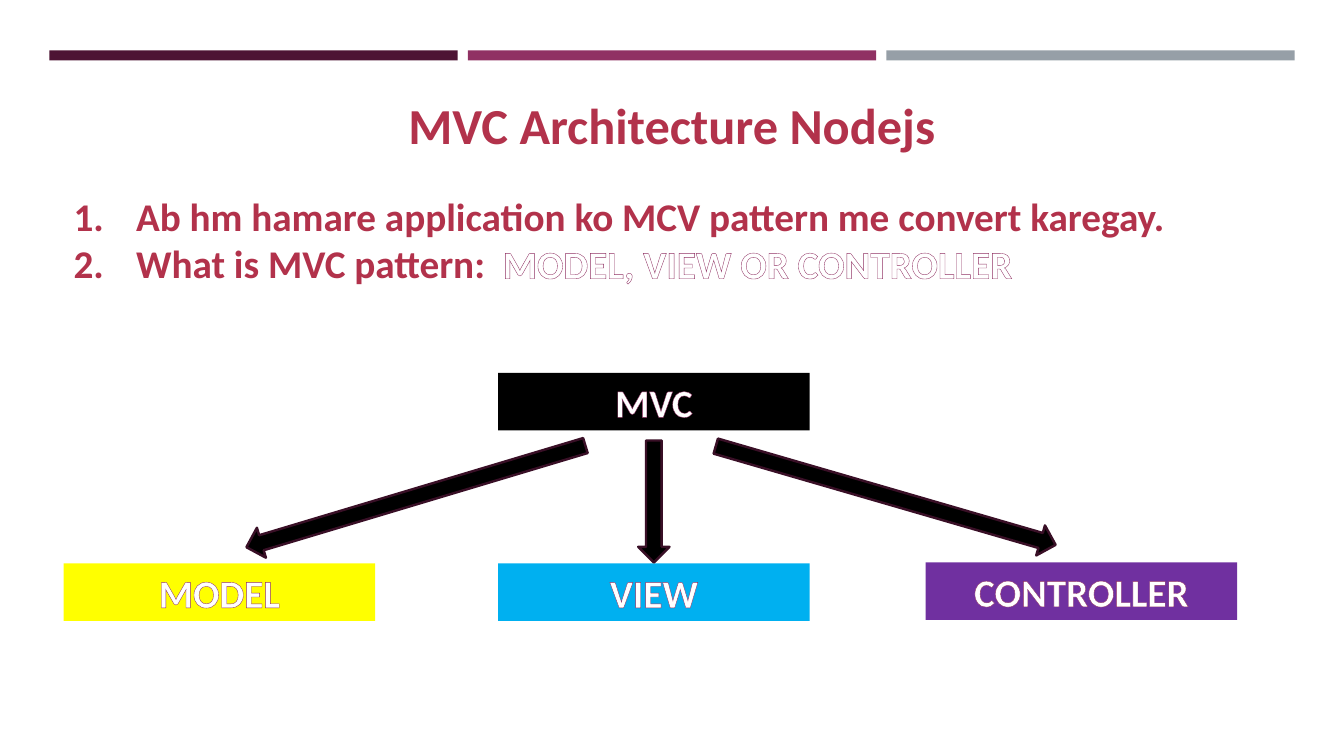
from dataclasses import dataclass

from lxml.etree import SubElement
from pptx import Presentation
from pptx.dml.color import RGBColor
from pptx.enum.shapes import MSO_SHAPE as Shape
from pptx.enum.text import MSO_ANCHOR as Anchor, MSO_AUTO_SIZE as AutoSize, PP_ALIGN as Align
from pptx.oxml.ns import qn
from pptx.util import Inches, Pt

WHITE, BLACK, RED, PLUM, DARK_PLUM = "FFFFFF", "000000", "B2324B", "903163", "390F26"
BOX_WIDTH, BOX_HEIGHT = 3.09, 0.57
BAR_LEFT, BAR_WIDTH, BAR_STEP = 0.49, 4.05, 4.15
BAR_COLOURS = ("4D1434", PLUM, "969FA7")
NUMBER_INDENT = 0.62


@dataclass(frozen=True)
class Box:
    label: str
    left: float
    top: float
    fill: str


@dataclass(frozen=True)
class Arrow:
    left: float
    top: float
    length: float
    rotation: float = 0


@dataclass(frozen=True)
class Span:
    text: str
    colour: str = RED
    outlined: bool = False


BOXES = (
    Box("MVC", 4.94, 3.7, BLACK),
    Box("MODEL", 0.63, 5.59, "FFFF00"),
    Box("CONTROLLER", 9.18, 5.58, "7030A0"),
    Box("VIEW", 4.94, 5.59, "00B0F0"),
)
ARROWS = (
    Arrow(6.33, 4.37, 1.21),
    Arrow(8.63, 3.16, 3.51, 286.2),
    Arrow(3.97, 3.17, 3.51, 73.3),
)
POINTS = (
    (Span("Ab hm hamare application ko MCV pattern me convert karegay."),),
    (Span("What is MVC pattern:  "), Span("MODEL, VIEW OR CONTROLLER", WHITE, True)),
)


def colour(value: str) -> RGBColor:
    return RGBColor.from_string(value)


def set_format(target, values: dict) -> None:
    for name, value in values.items():
        setattr(target, name, value)


def add_span(para, span: Span, size: float) -> None:
    run = para.add_run()
    run.text = span.text
    set_format(run.font, {"name": "Calibri", "size": Pt(size), "bold": True})
    run.font.color.rgb = colour(span.colour)
    if span.outlined:
        properties = run.font._element
        line = SubElement(properties, qn("a:ln"), w=str(Pt(0.52)))
        fill = SubElement(line, qn("a:solidFill"))
        SubElement(fill, qn("a:srgbClr"), val=PLUM)
        properties.insert(0, line)


def add_filled(page, kind, left: float, top: float, width: float, height: float, fill: str):
    shape = page.shapes.add_shape(kind, *map(Inches, (left, top, width, height)))
    shape.shadow.inherit = False
    shape.fill.solid()
    shape.fill.fore_color.rgb = colour(fill)
    shape.line.fill.background()
    return shape


def add_box(page, box: Box) -> None:
    shape = add_filled(page, Shape.RECTANGLE, box.left, box.top, BOX_WIDTH, BOX_HEIGHT, box.fill)
    shape.text_frame.vertical_anchor = Anchor.MIDDLE
    para = shape.text_frame.paragraphs[0]
    para.alignment = Align.CENTER
    add_span(para, Span(box.label, WHITE, True), 28)


def add_arrow(page, arrow: Arrow) -> None:
    shape = add_filled(page, Shape.DOWN_ARROW, arrow.left, arrow.top, 0.31, arrow.length, BLACK)
    shape.rotation = arrow.rotation
    shape.line.color.rgb = colour(DARK_PLUM)
    shape.line.width = Pt(1.75)


def place(holder, left: float, top: float, width: float, height: float):
    """Move a placeholder and return its text frame, ready for text."""
    set_format(holder, {"left": Inches(left), "top": Inches(top),
                        "width": Inches(width), "height": Inches(height)})
    frame = holder.text_frame
    set_format(frame, {"word_wrap": True, "auto_size": AutoSize.NONE,
                       "vertical_anchor": Anchor.TOP})
    return frame


def add_points(frame) -> None:
    for index, spans in enumerate(POINTS):
        para = frame.add_paragraph() if index else frame.paragraphs[0]
        set_format(para, {"space_before": Pt(0), "alignment": Align.LEFT})
        properties = para._p.get_or_add_pPr()
        properties.set("marL", str(Inches(NUMBER_INDENT)))
        properties.set("indent", str(-Inches(NUMBER_INDENT)))
        SubElement(properties, qn("a:buFont"), typeface="+mj-lt")
        SubElement(properties, qn("a:buAutoNum"), type="arabicPeriod")
        for span in spans:
            add_span(para, span, 28)


def main() -> None:
    deck = Presentation()
    deck.slide_width, deck.slide_height = Inches(13.33), Inches(7.5)
    page = deck.slides.add_slide(deck.slide_layouts[1])

    for index, fill in enumerate(BAR_COLOURS):
        add_filled(page, Shape.RECTANGLE, BAR_LEFT + index * BAR_STEP, 0.5, BAR_WIDTH, 0.1, fill)

    title = place(page.shapes.title, 3.44, 0.88, 6.45, 0.71)
    title.paragraphs[0].alignment = Align.CENTER
    add_span(title.paragraphs[0], Span("MVC Architecture Nodejs"), 36)
    add_points(place(page.placeholders[1], 0.63, 1.86, 12.25, 1.1))

    for box in BOXES:
        add_box(page, box)
    for arrow in ARROWS:
        add_arrow(page, arrow)

    deck.save("out.pptx")


if __name__ == "__main__":
    main()
